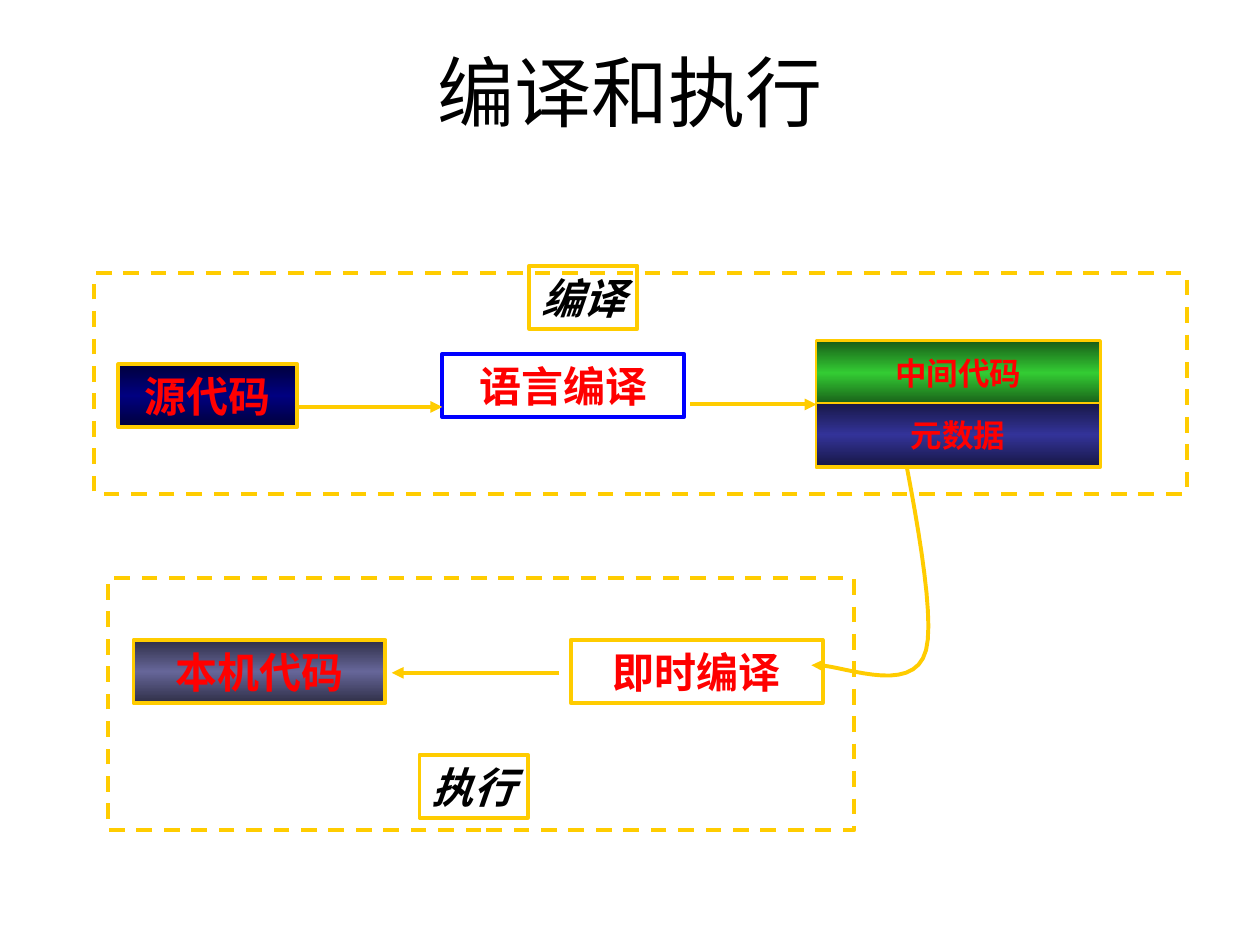
from copy import deepcopy

from lxml.etree import SubElement
from pptx import Presentation
from pptx.dml.color import RGBColor
from pptx.enum.dml import MSO_LINE
from pptx.enum.shapes import MSO_CONNECTOR, MSO_SHAPE
from pptx.enum.text import MSO_ANCHOR, PP_ALIGN
from pptx.oxml.ns import qn
from pptx.util import Inches, Pt

GOLD = RGBColor(0xFF, 0xCC, 0x00)
BLUE = RGBColor(0x00, 0x00, 0xFF)
RED = RGBColor(0xFF, 0x00, 0x00)
BLACK = RGBColor(0x00, 0x00, 0x00)

# Gradients as (edge, middle)
NAVY = (RGBColor(0x00, 0x00, 0x3B), RGBColor(0x00, 0x00, 0x80))
SLATE = (RGBColor(0x2F, 0x2F, 0x47), RGBColor(0x66, 0x66, 0x99))
GREEN = (RGBColor(0x18, 0x5E, 0x18), RGBColor(0x33, 0xCC, 0x33))
INDIGO = (RGBColor(0x18, 0x18, 0x47), RGBColor(0x33, 0x33, 0x99))

COLUMNS, ROWS = 100, 75
BOX_ROWS = 5


class FlowSlide:
    """Draws on one slide; all lengths are columns and rows of the grid."""

    font = "Arial"
    line_width = 2.25

    def __init__(self, deck):
        self.slide = deck.slides.add_slide(deck.slide_layouts[5])
        self.shapes = self.slide.shapes
        self.column = deck.slide_width / COLUMNS
        self.row = deck.slide_height / ROWS

    def point(self, x, y):
        return round(x * self.column), round(y * self.row)

    def set_text(self, shape, text, size, color, font=None, bold=True, italic=False):
        frame = shape.text_frame
        frame.text = text
        paragraph = frame.paragraphs[0]
        paragraph.alignment = PP_ALIGN.CENTER
        style = paragraph.runs[0].font
        style.name, style.size = font or self.font, Pt(size)
        style.bold, style.italic = bold, italic
        style.color.rgb = color

    def title(self, text, x, y, width, height):
        title = self.shapes.title
        title.left, title.top = self.point(x, y)
        title.width, title.height = self.point(width, height)
        title.text_frame.vertical_anchor = MSO_ANCHOR.TOP
        self.set_text(title, text, 44, BLACK, bold=False)

    def stroke(self, line, color=GOLD, width=None):
        line.color.rgb = color
        line.width = Pt(width or self.line_width)

    def shade(self, shape, edge, middle):
        shape.fill.gradient()
        shape.fill.gradient_angle = 90
        stop_list = shape._element.spPr.find(qn("a:gradFill")).find(qn("a:gsLst"))
        stop_list.append(deepcopy(stop_list[0]))
        stops = zip(shape.fill.gradient_stops, (0, 0.5, 1), (edge, middle, edge))
        for stop, position, color in stops:
            stop.position = position
            stop.color.rgb = color

    def box(self, x, y, width, height=BOX_ROWS, gradient=None, line=GOLD, weight=None):
        box = self.shapes.add_shape(
            MSO_SHAPE.RECTANGLE, *self.point(x, y), *self.point(width, height))
        box.shadow.inherit = False
        if gradient:
            self.shade(box, *gradient)
        else:
            box.fill.background()
        self.stroke(box.line, line, weight)
        return box

    def step(self, text, x, y, width, gradient=None, line=GOLD, weight=None,
             size=24, color=RED, font=None, italic=False):
        step = self.box(x, y, width, BOX_ROWS, gradient, line, weight)
        step.text_frame.word_wrap = False
        step.text_frame.vertical_anchor = MSO_ANCHOR.MIDDLE
        self.set_text(step, text, size, color, font, italic=italic)

    def label(self, text, x, y):
        self.step(text, x, y, 8.6, color=BLACK, italic=True)

    def phase(self, x, y, width, height):
        self.box(x, y, width, height).line.dash_style = MSO_LINE.DASH

    def arrowhead(self, shape):
        outline = shape._element.spPr.find(qn("a:ln"))
        SubElement(outline, qn("a:tailEnd"), type="triangle")

    def arrow(self, start_x, end_x, y):
        arrow = self.shapes.add_connector(
            MSO_CONNECTOR.STRAIGHT, *self.point(start_x, y), *self.point(end_x, y))
        self.stroke(arrow.line)
        self.arrowhead(arrow)
        SubElement(arrow._element.spPr, qn("a:effectLst"))

    def curved_arrow(self, start, *curves, pieces=16):
        """Follow cubic curves, each given as two control points and an end."""
        points, here = [], start
        for first, second, end in curves:
            for i in range(1, pieces + 1):
                t = i / pieces
                u = 1 - t
                points.append(self.point(*(
                    u**3 * a + 3 * u * u * t * b + 3 * u * t * t * c + t**3 * d
                    for a, b, c, d in zip(here, first, second, end))))
            here = end
        builder = self.shapes.build_freeform(*self.point(*start))
        builder.add_line_segments(points, close=False)
        curve = builder.convert_to_shape()
        curve.shadow.inherit = False
        curve.fill.background()
        self.stroke(curve.line)
        self.arrowhead(curve)


def main():
    deck = Presentation()
    deck.slide_width, deck.slide_height = Inches(10), Inches(7.5)
    flow = FlowSlide(deck)
    flow.title("编译和执行", 5, 3, 90, 12.5)

    # Compilation: source code to intermediate code
    flow.box(64.8, 27.1, 22.5, 10)
    flow.arrow(54.8, 64.8, 32.1)
    flow.step("源代码", 9.4, 28.9, 14.2, NAVY)
    flow.step("语言编译", 35.1, 28.1, 19.2, line=BLUE)
    flow.arrow(23.4, 35.1, 32.3)
    flow.phase(7.5, 21.7, 86.7, 17.5)
    flow.label("编译", 42, 21.1)

    # Execution: just-in-time compilation to native code
    flow.label("执行", 33.3, 59.9)
    flow.step("即时编译", 45.3, 50.8, 20)
    flow.step("本机代码", 10.6, 50.8, 20, SLATE)
    flow.curved_arrow(
        (70.6, 29.7),
        ((71.1, 33.3), (74.5, 47.8), (73.5, 51.6)),
        ((72.5, 55.5), (66.3, 52.5), (64.4, 52.8)))
    flow.arrow(44.4, 31.1, 53.4)
    flow.phase(8.6, 45.9, 59.2, 20)

    # Output of the compilation: code and its metadata
    for i, (text, gradient) in enumerate((("中间代码", GREEN), ("元数据", INDIGO))):
        flow.step(text, 64.8, 27.1 + i * 4.9, 22.5, gradient,
                  weight=1, size=18, font="Noto Sans Mono")

    deck.save("out.pptx")


if __name__ == "__main__":
    main()
